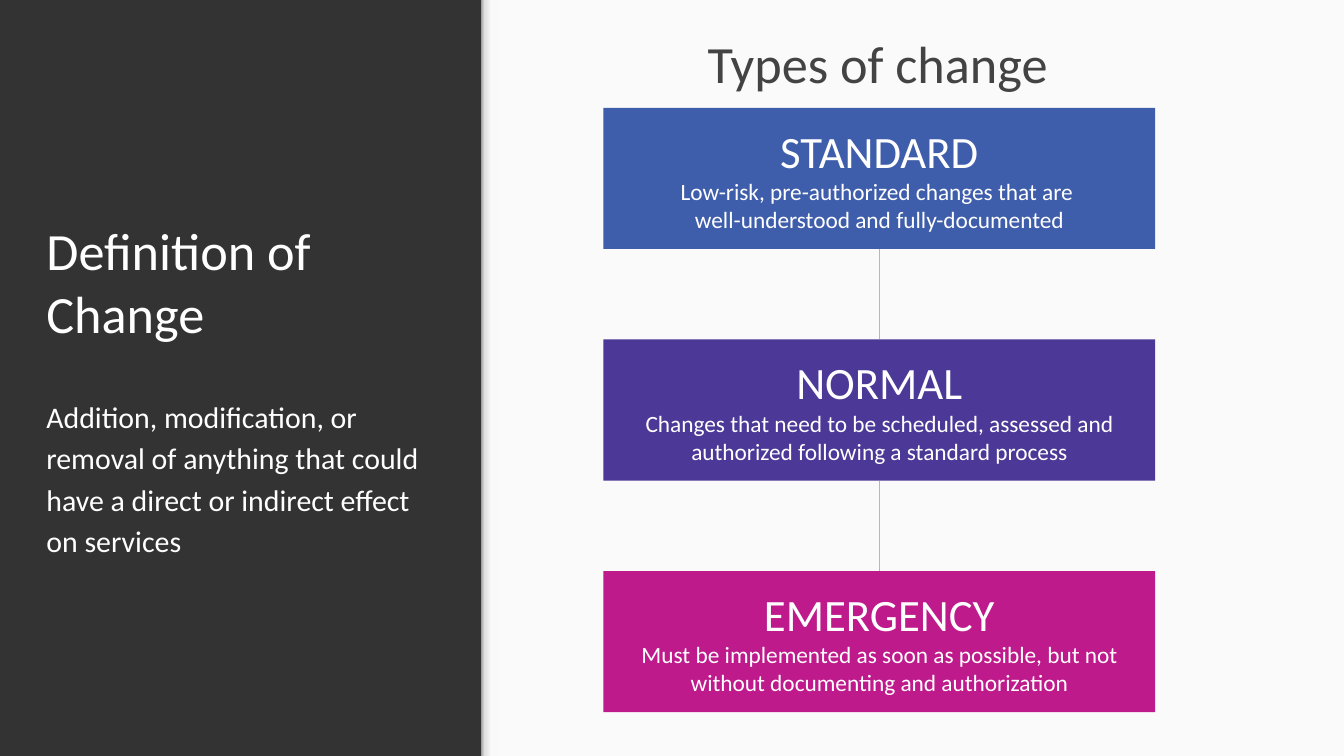
from lxml import etree
from pptx import Presentation
from pptx import util as u
from pptx.dml.color import RGBColor
from pptx.enum import shapes, text
from pptx.oxml.ns import qn

PX = 9144  # EMU per px, 100 px to the inch
SLIDE_WIDTH, SLIDE_HEIGHT = u.Emu(18288000), u.Emu(10282238)
WIDTH, HEIGHT = SLIDE_WIDTH / PX, SLIDE_HEIGHT / PX
PANEL_LEFT = 717
BOX_LEFT, BOX_TOP, BOX_WIDTH, BOX_HEIGHT, BOX_STEP = 898, 160.4, 821, 210, 344.5

CHANGE_TYPES = [
    ("STANDARD", ["Low-risk, pre-authorized changes that are ",
                  "well-understood and fully-documented"], "3E5DAA"),
    ("NORMAL", ["Changes that need to be scheduled, assessed and "
                "authorized following a standard process"], "4C3896"),
    ("EMERGENCY", ["Must be implemented as soon as possible, but not "
                   "without documenting and authorization"], "BE1A8C"),
]


def color(value):
    return RGBColor.from_string(value)


def px(*lengths):
    return [u.Emu(round(length * PX)) for length in lengths]


def write(shape, lines, anchor=text.MSO_ANCHOR.TOP, align=text.PP_ALIGN.LEFT,
          fill="FFFFFF", font="Calibri", line_spacing=None, space_after=None):
    """Put (text, size) lines into one paragraph, separated by line breaks."""
    frame = shape.text_frame
    frame.word_wrap = True
    frame.vertical_anchor = anchor
    (frame.margin_left, frame.margin_top,
     frame.margin_right, frame.margin_bottom) = px(20, 20, 20, 20)
    paragraph = frame.paragraphs[0]
    paragraph.alignment = align
    paragraph.line_spacing = line_spacing
    paragraph.space_after = space_after
    for index, (words, size) in enumerate(lines):
        if index:
            paragraph.add_line_break()
        run = paragraph.add_run()
        run.text = words
        run.font.name = font
        run.font.size = u.Pt(size)
        run.font.color.rgb = color(fill)


class SlideBuilder:
    def __init__(self, slide):
        self.slide = slide
        self.line_color = "B7B7B7"
        self.line_width = u.Pt(0.75)

    def background(self, fill):
        self.slide.background.fill.solid()
        self.slide.background.fill.fore_color.rgb = color(fill)

    def rectangle(self, left, top, width, height, fill):
        shape = self.slide.shapes.add_shape(
            shapes.MSO_SHAPE.RECTANGLE, *px(left, top, width, height))
        shape.shadow.inherit = False
        shape.line.fill.background()
        shape.fill.solid()
        shape.fill.fore_color.rgb = color(fill)
        return shape

    def gradient_strip(self, left, top, width, height, stops):
        """Add a strip shaded from left to right by (percent, colour) stops."""
        shape = self.rectangle(left, top, width, height, stops[0][1])
        shape.fill.gradient()
        shape.fill.gradient_angle = 0
        stop_list = shape.element.spPr.find(".//" + qn("a:gsLst"))
        for old_stop in list(stop_list):
            stop_list.remove(old_stop)
        for percent, value in stops:
            stop = etree.SubElement(stop_list, qn("a:gs"), pos=str(percent * 1000))
            etree.SubElement(stop, qn("a:srgbClr"), val=value)

    def text_box(self, left, top, width, height, lines, **text_format):
        shape = self.slide.shapes.add_textbox(*px(left, top, width, height))
        write(shape, lines, **text_format)

    def connect_down(self, upper, lower):
        connector = self.slide.shapes.add_connector(
            shapes.MSO_CONNECTOR.STRAIGHT, 0, 0, 0, 0)
        connector.begin_connect(upper, 2)
        connector.end_connect(lower, 0)
        connector.line.color.rgb = color(self.line_color)
        connector.line.width = self.line_width
        etree.SubElement(connector.element.spPr, qn("a:effectLst"))


def main():
    presentation = Presentation()
    presentation.slide_width = SLIDE_WIDTH
    presentation.slide_height = SLIDE_HEIGHT
    builder = SlideBuilder(presentation.slides.add_slide(presentation.slide_layouts[6]))

    builder.background("333333")
    builder.rectangle(PANEL_LEFT, 0, WIDTH - PANEL_LEFT, HEIGHT, "FAFAFA")
    builder.gradient_strip(716, 0, 24, HEIGHT, [
        (0, "999999"), (20, "DEDEDE"), (64, "F9F9F9"), (100, "F9F9F9")])

    builder.text_box(49, 323, 614, 208, [("Definition of Change", 56)],
                     anchor=text.MSO_ANCHOR.BOTTOM)
    builder.text_box(49, 565, 614, 285, [
        ("Addition, modification, or removal of anything that could "
         "have a direct or indirect effect on services", 32)],
        line_spacing=1.15, space_after=u.Pt(16))

    previous = None
    for index, (name, description, fill) in enumerate(CHANGE_TYPES):
        box = builder.rectangle(BOX_LEFT, BOX_TOP + index * BOX_STEP,
                                BOX_WIDTH, BOX_HEIGHT, fill)
        write(box, [(name, 48)] + [(line, 25) for line in description],
              anchor=text.MSO_ANCHOR.MIDDLE, align=text.PP_ALIGN.CENTER)
        if previous is not None:
            builder.connect_down(previous, box)
        previous = box

    builder.text_box(1033, -48, 614, 208, [("Types of change", 56)],
                     anchor=text.MSO_ANCHOR.BOTTOM, fill="434343")

    presentation.save("out.pptx")


if __name__ == "__main__":
    main()
